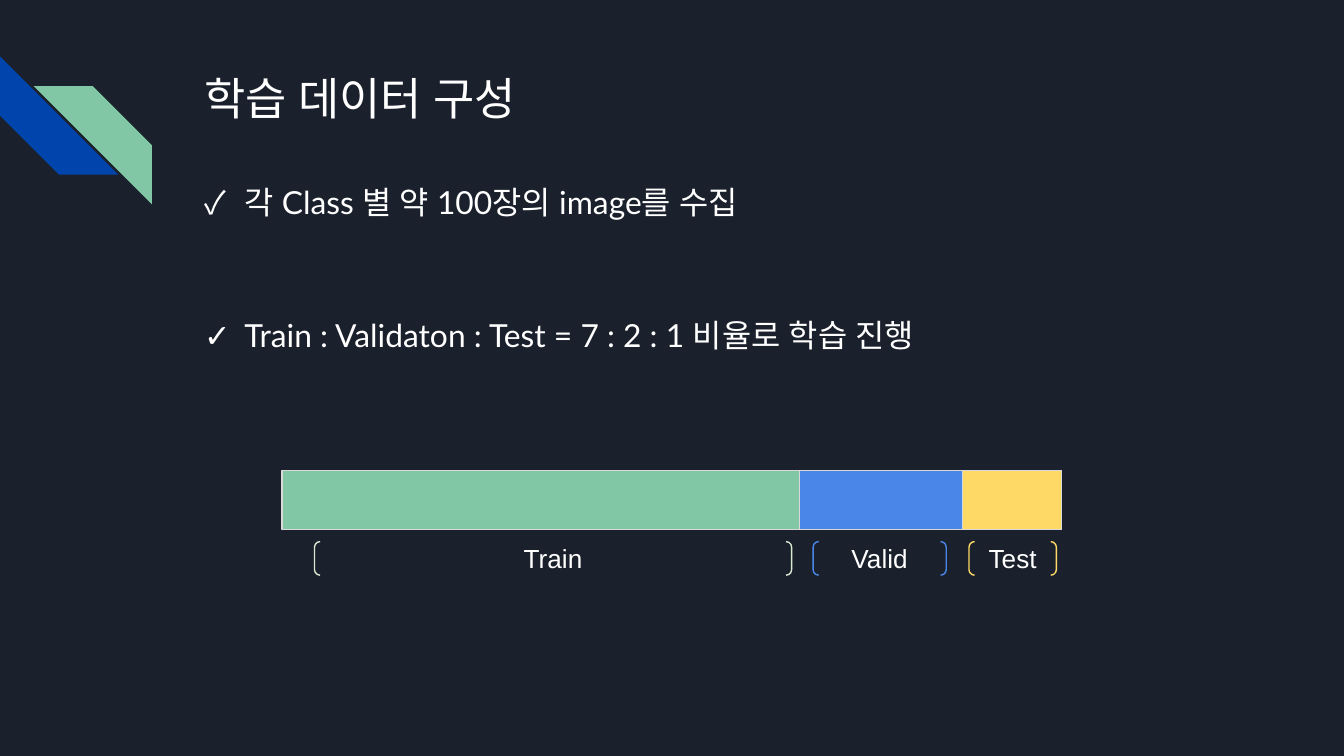
from lxml.etree import SubElement
from pptx import Presentation
from pptx.dml.color import RGBColor
from pptx.enum.lang import MSO_LANGUAGE_ID as Lang
from pptx.enum.shapes import MSO_SHAPE as Shape
from pptx.enum.text import MSO_ANCHOR as Anchor, PP_ALIGN as Align
from pptx.oxml.ns import qn
from pptx.util import Inches, Pt

WIDE = 10
HIGH = WIDE * 9 / 16
LEFT = 1.42
GREEN, BLUE, GOLD = "82C7A5", "4A86E8", "FFD966"
WHITE = "FFFFFF"


def paint(target, tone):
    if hasattr(target, "solid"):
        target.solid()
        target = target.fore_color
    target.rgb = RGBColor.from_string(tone)


def style(para, font, size):
    for run in para.runs:
        run.font.name = font
        run.font.size = Pt(size)
        run.font.language_id = Lang.KOREAN
        paint(run.font.fill, WHITE)
        SubElement(run.font._element, qn("a:ea"), typeface=font)


def pad(frame):
    frame.word_wrap = True
    frame.margin_left = frame.margin_right = Inches(0.1)
    frame.margin_top = frame.margin_bottom = Inches(0.1)


def add_text(slide, box, text, font, size):
    frame = slide.shapes.add_textbox(*map(Inches, box)).text_frame
    pad(frame)
    frame.text = text
    for para in frame.paragraphs:
        style(para, font, size)
    return frame


def add_list(slide, box, items):
    text = "\n".join(f"✓\t{item}" for item in items)
    frame = add_text(slide, box, text, "Lato", 17)
    for index, para in enumerate(frame.paragraphs):
        tabs = SubElement(para._p.get_or_add_pPr(), qn("a:tabLst"))
        SubElement(tabs, qn("a:tab"), pos=str(Inches(0.3)), algn="l")
        para.line_spacing = 1.15
        if index:
            para.space_before = Pt(47.5)


def add_form(slide, kind, box, fill=None, line=None):
    form = slide.shapes.add_shape(kind, *map(Inches, box))
    form.shadow.inherit = False
    if fill:
        paint(form.fill, fill)
    else:
        form.fill.background()
    if line:
        paint(form.line.fill, line)
        form.line.width = Pt(0.75)
    else:
        form.line.fill.background()
    return form


def add_stripe(slide, left, top, turn, tone):
    form = add_form(slide, Shape.DIAGONAL_STRIPE, (left, top, 0.88, 0.88), tone)
    form.rotation = turn


def add_label(slide, left, width, text, tone):
    box = left, 4.03, width, 0.25
    form = add_form(slide, Shape.DOUBLE_BRACKET, box, line=tone)
    frame = form.text_frame
    pad(frame)
    frame.vertical_anchor = Anchor.MIDDLE
    frame.text = text
    para = frame.paragraphs[0]
    para.alignment = Align.CENTER
    style(para, "Arial", 14)


def add_split(slide):
    end = 7.9
    parts = [
        (2.1, GREEN, "Train", 2.34, 3.55, "D9EAD3"),
        (5.95, BLUE, "Valid", 6.05, 0.99, BLUE),
        (7.16, GOLD, "Test", 7.21, 0.65, GOLD),
    ]
    for left, tone, *_ in parts:
        box = left, 3.5, end - left, 0.44
        add_form(slide, Shape.RECTANGLE, box, tone, "D9D9D9")
    for _, _, text, left, width, tone in parts:
        add_label(slide, left, width, text, tone)


def main():
    deck = Presentation()
    deck.slide_width, deck.slide_height = Inches(WIDE), Inches(HIGH)
    slide = deck.slides.add_slide(deck.slide_layouts[6])
    paint(slide.background.fill, "1B212C")
    add_stripe(slide, 0, 0.42, 270, "0145AC")
    add_stripe(slide, 0.25, 0.64, 90, GREEN)
    add_text(slide, (LEFT, 0.43, 7.7, 1), "학습 데이터 구성", "Montserrat", 24)
    add_list(slide, (LEFT, 1.22, 7.7, 3.18), [
        "각 Class 별 약 100장의 image를 수집",
        "Train : Validaton : Test = 7 : 2 : 1 비율로 학습 진행",
    ])
    add_split(slide)
    deck.save("out.pptx")


if __name__ == "__main__":
    main()
